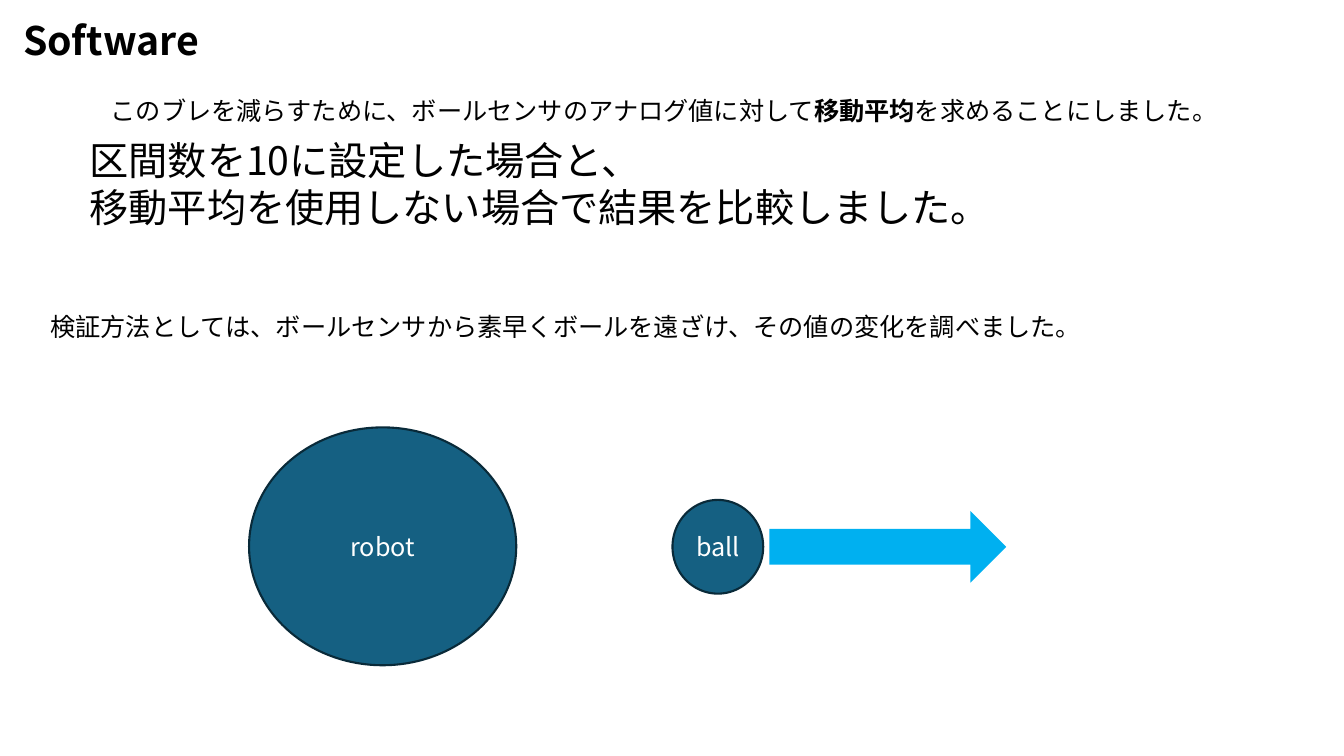
from lxml import etree
from pptx import Presentation
from pptx.dml.color import RGBColor
from pptx.enum import shapes, text
from pptx.oxml.ns import qn
from pptx.util import Inches, Pt

FONT = "Noto Sans CJK JP"


def color(value):
    return RGBColor.from_string(value)


def write(frame, lines, size, ink="000000", align=text.PP_ALIGN.LEFT):
    for index, line in enumerate(lines):
        para = frame.paragraphs[0] if index == 0 else frame.add_paragraph()
        para.alignment = align
        para.font.size = Pt(size)
        para.font.name = FONT
        para.font.color.rgb = color(ink)
        for wording, bold in line:
            span = para.add_run()
            span.text = wording
            span.font.bold = bold
            east_asian = etree.SubElement(span.font._element, qn("a:ea"))
            east_asian.set("typeface", FONT)


deck = Presentation()
deck.slide_width = Inches(13.33)
deck.slide_height = Inches(7.5)
page = deck.slides.add_slide(deck.slide_layouts[5])

title = page.shapes.title
title.left, title.top = Inches(0.13), Inches(0.11)
title.width, title.height = Inches(1.94), Inches(0.57)
title.text_frame.word_wrap = True
title.text_frame.margin_right = 0
title.text_frame.auto_size = text.MSO_AUTO_SIZE.NONE
title.text_frame.vertical_anchor = text.MSO_ANCHOR.TOP
write(title.text_frame, [[("Software", True)]], 28)

passages = [
    (0.79, 1.3, 13.67, 1.51, 28, [
        [("区間数を10に設定した場合と、", False)],
        [("移動平均を使用しない場合で結果を比較しました。", False)],
    ]),
    (1, 0.9, 11.71, 0.4, 18, [[
        ("このブレを減らすために、ボールセンサのアナログ値に対して", False),
        ("移動平均", True),
        ("を求めることにしました。", False),
    ]]),
    (0.4, 3.04, 10.67, 0.71, 18, [[
        ("検証方法としては、ボールセンサから素早くボールを遠ざけ、その値の変化を調べました。", False),
    ]]),
]
for left, top, width, height, size, lines in passages:
    box = page.shapes.add_textbox(Inches(left), Inches(top), Inches(width), Inches(height))
    box.text_frame.word_wrap = True
    write(box.text_frame, lines, size)

circles = [("robot", 2.47, 4.24, 2.65, 2.36), ("ball", 6.67, 4.96, 0.9, 0.93)]
for label, left, top, width, height in circles:
    circle = page.shapes.add_shape(
        shapes.MSO_SHAPE.OVAL, Inches(left), Inches(top), Inches(width), Inches(height))
    circle.shadow.inherit = False
    circle.fill.solid()
    circle.fill.fore_color.rgb = color("156082")
    circle.line.color.rgb = color("092A39")
    circle.line.width = Pt(1.5)
    circle.text_frame.vertical_anchor = text.MSO_ANCHOR.MIDDLE
    write(circle.text_frame, [[(label, False)]], 18, "FFFFFF", text.PP_ALIGN.CENTER)

arrow = page.shapes.add_shape(
    shapes.MSO_SHAPE.RIGHT_ARROW, Inches(7.63), Inches(5.07), Inches(2.35), Inches(0.71))
arrow.shadow.inherit = False
arrow.fill.solid()
arrow.fill.fore_color.rgb = color("00B0F0")
arrow.line.fill.background()

deck.save("out.pptx")
